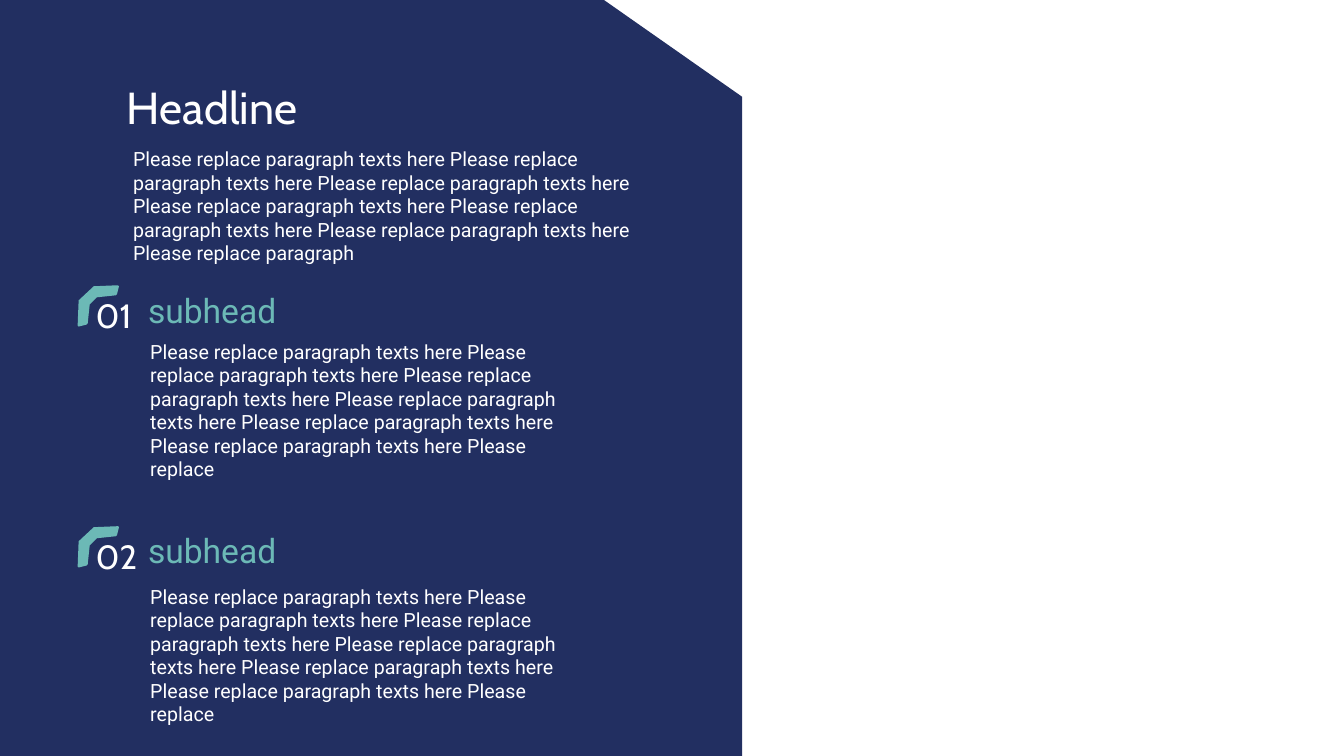
from pptx import Presentation
from pptx.dml.color import RGBColor
from pptx.enum.text import MSO_AUTO_SIZE
from pptx.util import Inches, Pt

COLORS = {"navy": "222F61", "teal": "6CB9B6", "white": "FFFFFF"}
PHRASE = "Please replace paragraph texts here "
PANEL = [(0, 0), (5.99, 0), (7.36, 0.96), (7.36, 7.5), (0, 7.5)]
# Corner marker outline, measured from the top left of the marker
MARKER = [
    (0.19, 0.12), (0.38, 0.1), (0.39, 0.09), (0.41, 0.01), (0.4, 0),
    (0.16, 0.01), (0.01, 0.15), (0, 0.4), (0.01, 0.41), (0.09, 0.39),
    (0.1, 0.38), (0.12, 0.19),
]
MARKER_LEFT = 0.77
# number, marker top, subhead top, body top
SECTIONS = [("01", 2.83, 2.83, 3.32), ("02", 5.22, 5.21, 5.75)]


class SlideBuilder:
    heading_font = "Cabin"
    body_font = "Roboto"

    def __init__(self, slide):
        self.slide = slide

    def outline(self, points, color, left=0, top=0):
        """Draw a closed, filled polygon shifted by left and top."""
        corners = [(Inches(left + x), Inches(top + y)) for x, y in points]
        builder = self.slide.shapes.build_freeform(*corners[0], scale=1.0)
        builder.add_line_segments(corners[1:], close=True)
        shape = builder.convert_to_shape()
        shape.shadow.inherit = False
        shape.fill.solid()
        shape.fill.fore_color.rgb = RGBColor.from_string(COLORS[color])
        shape.line.fill.background()

    def text(self, content, box, size, font, color="white", inset=0.1):
        shape = self.slide.shapes.add_textbox(*map(Inches, box))
        frame = shape.text_frame
        frame.word_wrap = True
        frame.auto_size = MSO_AUTO_SIZE.SHAPE_TO_FIT_TEXT
        frame.margin_left = Inches(inset)
        frame.text = content
        run_font = frame.paragraphs[0].runs[0].font
        run_font.name = font
        run_font.size = Pt(size)
        run_font.color.rgb = RGBColor.from_string(COLORS[color])

    def body(self, content, box):
        self.text(content, box, 14, self.body_font, inset=0.16)

    def section(self, number, marker_top, subhead_top, body_top):
        self.outline(MARKER, "teal", MARKER_LEFT, marker_top)
        self.text(number, (0.85, marker_top + 0.05, 0.91, 0.5), 24, self.heading_font)
        self.text("subhead", (1.37, subhead_top, 3.5, 0.5), 24, self.body_font, "teal")
        self.body(PHRASE * 6 + "Please replace", (1.33, body_top, 4.49, 1.28))


def main():
    presentation = Presentation()
    presentation.slide_width = Inches(13.33)
    presentation.slide_height = Inches(7.5)
    slide = presentation.slides.add_slide(presentation.slide_layouts[6])
    builder = SlideBuilder(slide)

    builder.outline(PANEL, "navy")
    builder.text("Headline", (1.16, 0.74, 6, 0.64), 32, builder.heading_font)
    builder.body(PHRASE * 6 + "Please replace paragraph", (1.16, 1.41, 5.51, 1.04))
    for section in SECTIONS:
        builder.section(*section)

    presentation.save("out.pptx")


if __name__ == "__main__":
    main()
